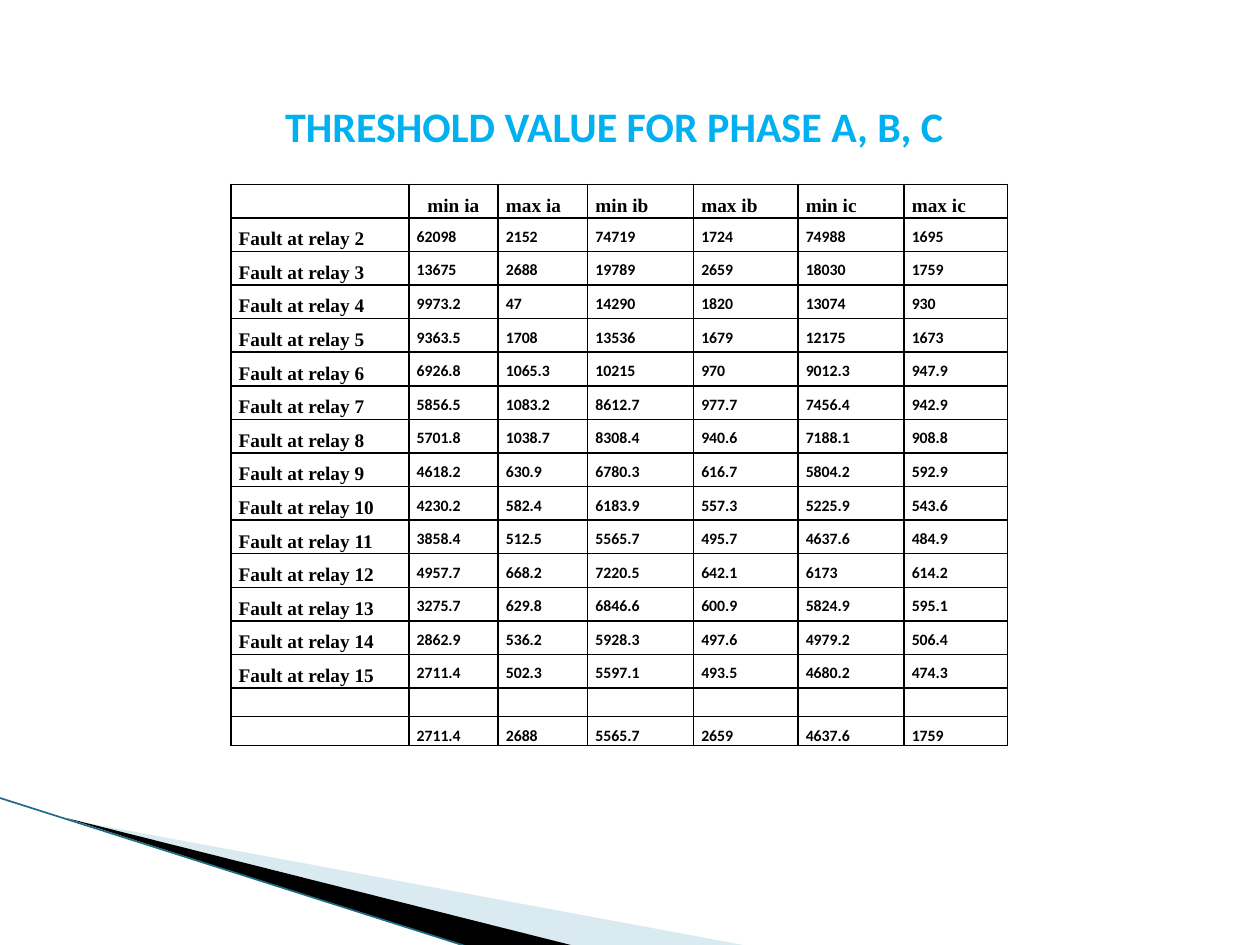
from lxml import etree
from pptx import Presentation
from pptx.dml.color import RGBColor
from pptx.enum.shapes import MSO_CONNECTOR
from pptx.enum.text import MSO_ANCHOR, PP_ALIGN
from pptx.oxml.ns import qn
from pptx.util import Pt

STRAIGHT = MSO_CONNECTOR.STRAIGHT
TOP = MSO_ANCHOR.TOP
LEFT, CENTER = PP_ALIGN.LEFT, PP_ALIGN.CENTER

BLACK = RGBColor(0x00, 0x00, 0x00)
SKY = RGBColor(0x00, 0xB0, 0xF0)
PALE = RGBColor(0xA0, 0xCB, 0xDC)
TEAL = RGBColor(0x1E, 0x6E, 0x82)

SANS, SERIF = "Calibri", "Times New Roman"

COLS = [101.7, 51, 51.2, 60.5, 59.7, 60.6, 59.2]
ROWS = [19.2] * 15 + [16.3] * 2
HEAD = ["", "min ia", "max ia", "min ib", "max ib", "min ic", "max ic"]
FAULTS = [
    "62098 2152 74719 1724 74988 1695",
    "13675 2688 19789 2659 18030 1759",
    "9973.2 47 14290 1820 13074 930",
    "9363.5 1708 13536 1679 12175 1673",
    "6926.8 1065.3 10215 970 9012.3 947.9",
    "5856.5 1083.2 8612.7 977.7 7456.4 942.9",
    "5701.8 1038.7 8308.4 940.6 7188.1 908.8",
    "4618.2 630.9 6780.3 616.7 5804.2 592.9",
    "4230.2 582.4 6183.9 557.3 5225.9 543.6",
    "3858.4 512.5 5565.7 495.7 4637.6 484.9",
    "4957.7 668.2 7220.5 642.1 6173 614.2",
    "3275.7 629.8 6846.6 600.9 5824.9 595.1",
    "2862.9 536.2 5928.3 497.6 4979.2 506.4",
    "2711.4 502.3 5597.1 493.5 4680.2 474.3",
]
LIMITS = "2711.4 2688 5565.7 2659 4637.6 1759"


def write(frame, text, size=9, font=SANS, color=BLACK, align=LEFT, space=None):
    para = frame.paragraphs[0]
    para.alignment = align
    if space:
        para.line_spacing = space
    if not text:
        # The end mark sets the line height of an empty cell.
        etree.SubElement(para._p, qn("a:endParaRPr"), sz=str(size * 100))
        return
    run = para.add_run()
    run.text = text
    run.font.size = Pt(size)
    run.font.name = font
    run.font.bold = True
    run.font.color.rgb = color


def border(cell, color=BLACK, width=1):
    props = cell._tc.get_or_add_tcPr()
    for i, side in enumerate(("lnL", "lnR", "lnT", "lnB")):
        line = etree.Element(qn(f"a:{side}"), w=str(Pt(width)))
        fill = etree.SubElement(line, qn("a:solidFill"))
        etree.SubElement(fill, qn("a:srgbClr"), val=str(color))
        props.insert(i, line)


def reframe(shape, x, y, w, h):
    """Give an outline a new frame while its points stay in place."""
    dx, dy = shape.left - Pt(x), shape.top - Pt(y)
    shape.left, shape.top, shape.width, shape.height = Pt(x), Pt(y), Pt(w), Pt(h)
    outline = next(shape._element.iter(qn("a:path")))
    outline.set("w", str(Pt(w)))
    outline.set("h", str(Pt(h)))
    for point in outline.iter(qn("a:pt")):
        point.set("x", str(int(point.get("x")) + dx))
        point.set("y", str(int(point.get("y")) + dy))


class Page:
    def __init__(self, slide, pad=4.5):
        self.shapes = slide.shapes
        self.pad = Pt(pad)

    def wedge(self, points, color, frame, alpha=None):
        start, *rest = [(Pt(x), Pt(y)) for x, y in points]
        pen = self.shapes.build_freeform(*start)
        pen.add_line_segments(rest, close=True)
        shape = pen.convert_to_shape()
        reframe(shape, *frame)
        shape.shadow.inherit = False
        shape.fill.solid()
        shape.fill.fore_color.rgb = color
        shape.line.fill.background()
        if alpha:
            tint = shape._element.spPr.find(f".//{qn('a:srgbClr')}")
            etree.SubElement(tint, qn("a:alpha"), val=str(alpha * 1000))

    def line(self, x1, y1, x2, y2, color, width):
        line = self.shapes.add_connector(STRAIGHT, Pt(x1), Pt(y1), Pt(x2), Pt(y2))
        line.line.color.rgb = color
        line.line.width = Pt(width)
        etree.SubElement(line._element.spPr, qn("a:effectLst"))

    def text(self, x, y, w, h, text, **style):
        box = self.shapes.add_textbox(Pt(x), Pt(y), Pt(w), Pt(h))
        box.text_frame.word_wrap = True
        write(box.text_frame, text, **style)

    def table(self, x, y, cols, rows, data):
        frame = self.shapes.add_table(len(rows), len(cols), Pt(x), Pt(y),
                                      Pt(sum(cols)), Pt(sum(rows)))
        table = frame.table
        table.first_row = table.horz_banding = False
        for col, width in zip(table.columns, cols):
            col.width = Pt(width)
        for r, (height, values) in enumerate(zip(rows, data)):
            table.rows[r].height = Pt(height)
            for c, value in enumerate(values):
                self.cell(table.cell(r, c), value, r, c)

    def cell(self, cell, value, r, c):
        cell.margin_left = cell.margin_right = self.pad
        cell.margin_top = cell.margin_bottom = 0
        cell.vertical_anchor = TOP
        cell.fill.background()
        border(cell)
        label = value and (r == 0 or c == 0)
        write(cell.text_frame, value, size=11 if label else 9,
              font=SERIF if label else SANS, space=1.5,
              align=CENTER if (r, c) == (0, 1) else LEFT)


def main():
    deck = Presentation()
    deck.slide_width, deck.slide_height = Pt(720), Pt(540)
    page = Page(deck.slides.add_slide(deck.slide_layouts[6]))

    page.wedge([(39.6, 468.4), (428.4, 540.7), (328.3, 540.7)], PALE,
               (56.2, 393.8, 299.5, 113.8), alpha=40)
    page.wedge([(38.2, 467.5), (329, 540.7), (267.8, 541.4)], BLACK,
               (-4.3, 455.8, 299.5, 66.2))
    page.line(-0.7, 455.8, 268.5, 541.4, TEAL, 0.95)

    data = [HEAD]
    data += [[f"Fault at relay {n}", *row.split()]
             for n, row in enumerate(FAULTS, 2)]
    data += [[""] * len(COLS), ["", *LIMITS.split()]]
    page.table(131.9, 105.3, COLS, ROWS, data)

    page.text(126, 54, 450, 36, "THRESHOLD VALUE FOR PHASE A, B, C",
              size=24, color=SKY, align=CENTER)
    deck.save("out.pptx")


if __name__ == "__main__":
    main()
